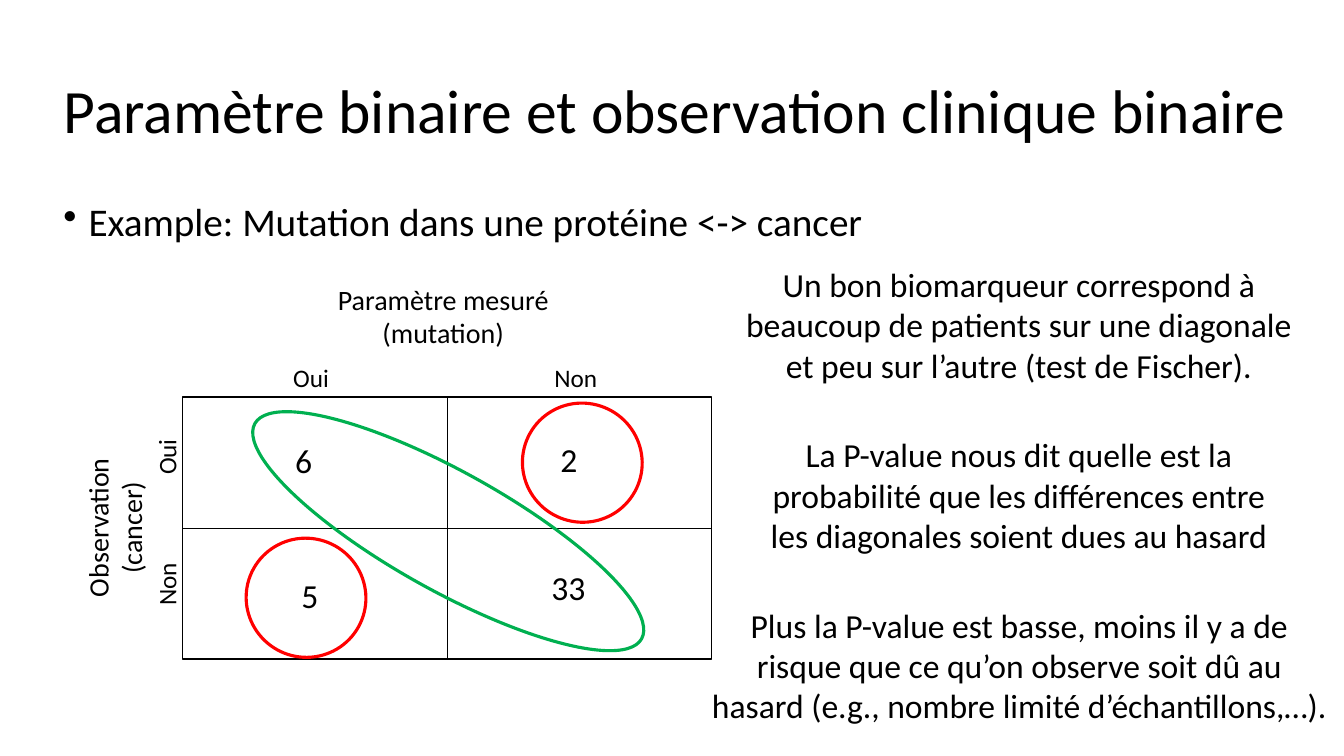
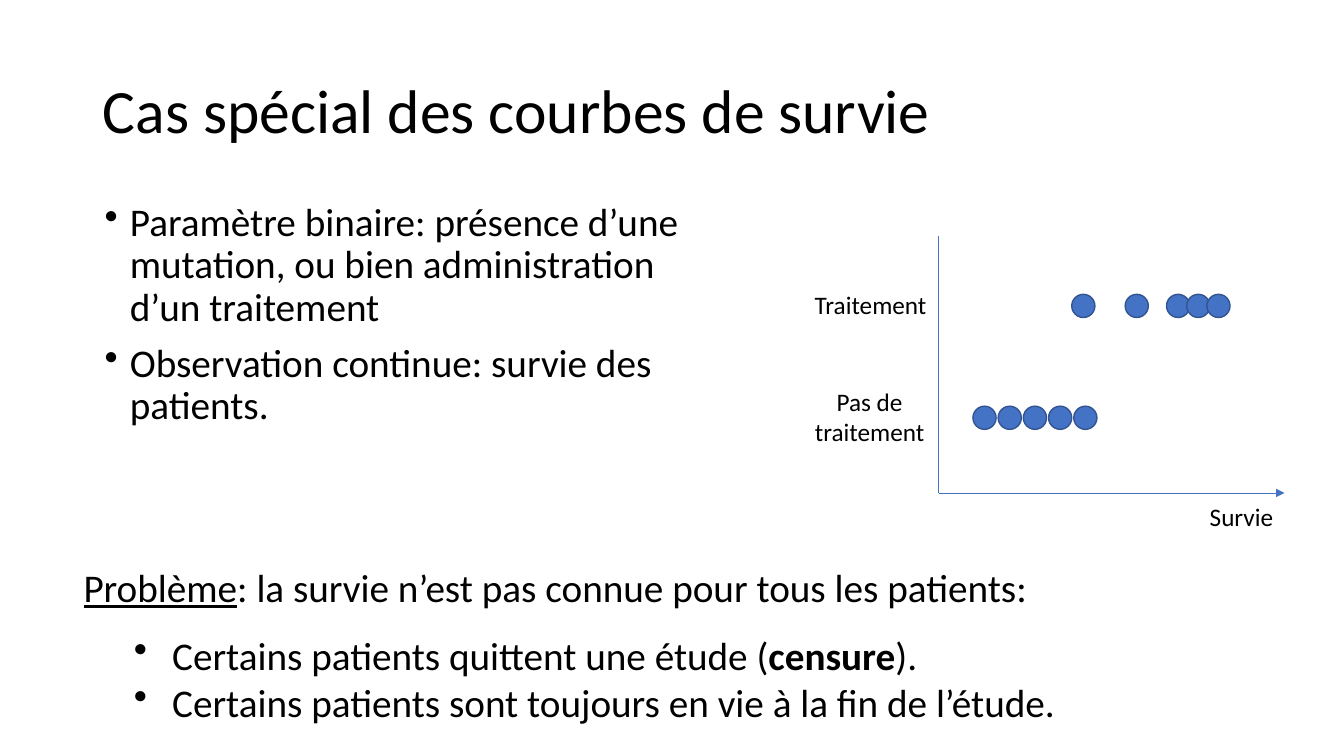
from dataclasses import dataclass

from lxml import etree
from pptx import Presentation
from pptx.dml.color import RGBColor
from pptx.enum.shapes import MSO_CONNECTOR, MSO_SHAPE
from pptx.enum.text import MSO_ANCHOR, MSO_AUTO_SIZE, PP_ALIGN
from pptx.oxml.ns import qn
from pptx.util import Inches, Pt

LEFT, CENTER = PP_ALIGN.LEFT, PP_ALIGN.CENTER
RECT, OVAL = MSO_SHAPE.RECTANGLE, MSO_SHAPE.OVAL
STRAIGHT = MSO_CONNECTOR.STRAIGHT
TOP_SIDE, LEFT_SIDE, BOTTOM_SIDE, RIGHT_SIDE = range(4)


@dataclass(frozen=True)
class Theme:
    font: str = "Calibri"
    black: RGBColor = RGBColor(0, 0, 0)
    blue: RGBColor = RGBColor(0x44, 0x72, 0xC4)
    dark_blue: RGBColor = RGBColor(0x32, 0x54, 0x91)
    green: RGBColor = RGBColor(0, 0xB0, 0x50)
    red: RGBColor = RGBColor(0xFF, 0, 0)
    title: int = 44
    body: int = 28
    note: int = 24
    axis: int = 20
    label: int = 18


T = Theme()


def add_text(s, box, paragraphs, size, align=LEFT, rotation=0, bullet=None):
    """Add a text box; a paragraph is a string or a list of (text, font attribute).

    bullet gives the indent and hanging of bulleted paragraphs, in inches.
    """
    sp = s.shapes.add_textbox(*map(Inches, box))
    sp.rotation = rotation
    tf = sp.text_frame
    tf.word_wrap = True
    for i, runs in enumerate(paragraphs):
        p = tf.add_paragraph() if i else tf.paragraphs[0]
        p.alignment = align
        p.font.name, p.font.size, p.font.color.rgb = T.font, Pt(size), T.black
        for text, attribute in [(runs, None)] if isinstance(runs, str) else runs:
            r = p.add_run()
            r.text = text
            if attribute:
                setattr(r.font, attribute, True)
        if bullet:
            indent, hanging = bullet
            pPr = p._p.get_or_add_pPr()
            pPr.set("marL", str(Inches(indent)))
            pPr.set("indent", str(-Inches(hanging)))
            pPr.insert_element_before(
                pPr.makeelement(qn("a:buChar"), {"char": "•"}),
                "a:tabLst", "a:defRPr", "a:extLst")
    return tf


def add_line(shapes, start, end, color):
    line = shapes.add_connector(STRAIGHT, *map(Inches, start + end))
    line.line.color.rgb, line.line.width = color, Pt(0.5)
    etree.SubElement(line._element.spPr, qn("a:effectLst"))
    return line


prs = Presentation()
prs.slide_width, prs.slide_height = Inches(13.33), Inches(7.5)
title_only = prs.slide_layouts[5]

titles = [
    ("Paramètre binaire et observation clinique binaire", 0.53, 12.52),
    ("Cas spécial des courbes de survie", 0.92, 11.5),
]
for text, left, width in titles:
    title = prs.slides.add_slide(title_only).shapes.title
    title.left, title.top = Inches(left), Inches(0.4)
    title.width, title.height = Inches(width), Inches(1.45)
    tf = title.text_frame
    tf.text = text
    tf.auto_size, tf.vertical_anchor = MSO_AUTO_SIZE.NONE, MSO_ANCHOR.MIDDLE
    p = tf.paragraphs[0]
    p.alignment, p.line_spacing = LEFT, 0.9
    p.font.name, p.font.size, p.font.color.rgb = T.font, Pt(T.title), T.black

binary_slide, survival_slide = prs.slides

bodies = [
    (binary_slide, (0.53, 1.96, 12.13, 0.8),
     ["Example: Mutation dans une protéine <-> cancer"]),
    (survival_slide, (0.94, 1.96, 6.07, 2.66),
     ["Paramètre binaire: présence d’une mutation, ou bien administration d’un traitement",
      "Observation continue: survie des patients."]),
]
for s, box, paragraphs in bodies:
    tf = add_text(s, box, paragraphs, T.body, bullet=(0.25, 0.25))
    for p in tf.paragraphs:
        p.line_spacing, p.space_before = 0.9, Pt(10)

# Slide 1: contingency grid
s = binary_slide
x, y, w, h = 1.81, 3.94, 5.25, 2.6
grid = s.shapes.add_shape(RECT, *map(Inches, (x, y, w, h)))
grid.shadow.inherit = False
grid.fill.background()
grid.line.color.rgb, grid.line.width = T.black, Pt(1)
dividers = [
    ((x + w / 2, y), (x + w / 2, y + h), TOP_SIDE, BOTTOM_SIDE),
    ((x, y + h / 2), (x + w, y + h / 2), LEFT_SIDE, RIGHT_SIDE),
]
for start, end, first_side, last_side in dividers:
    divider = add_line(s.shapes, start, end, T.black)
    divider.begin_connect(grid, first_side)
    divider.end_connect(grid, last_side)

add_text(s, (2.89, 2.75, 3.01, 0.77), ["Paramètre mesuré (mutation)"], T.axis, CENTER)
add_text(s, (0.19, 4.85, 1.89, 0.77), ["Observation (cancer)"], T.axis, CENTER, 270)

small_texts = [
    ("Oui", 1.3, 4.26, T.label, 270),
    ("Non", 1.3, 5.56, T.label, 270),
    ("Oui", 2.81, 3.55, T.label, 0),
    ("Non", 5.4, 3.55, T.label, 0),
    ("6", 2.83, 4.32, T.note, 0),
    ("2", 5.46, 4.31, T.note, 0),
    ("5", 2.89, 5.65, T.note, 0),
    ("33", 5.37, 5.58, T.note, 0),
]
for text, left, top, size, rotation in small_texts:
    height = 0.4 if size == T.label else 0.5
    add_text(s, (left, top, 0.7, height), [text], size, rotation=rotation)

rings = [
    (2.25, 4.68, 4.39, T.green),
    (2.44, 5.34, 1.19, T.red),
    (5.18, 4, 1.19, T.red),
]
for left, top, width, color in rings:
    ring = s.shapes.add_shape(OVAL, *map(Inches, (left, top, width, 1.18)))
    ring.rotation = 29.1
    ring.shadow.inherit = False
    ring.fill.background()
    ring.line.color.rgb, ring.line.width = color, Pt(2.25)

notes = [
    (7.23, 2.57, 5.75, "Un bon biomarqueur correspond à beaucoup de patients sur une "
                       "diagonale et peu sur l’autre (test de Fischer)."),
    (7.54, 4.26, 5.13, "La P-value nous dit quelle est la probabilité que les différences "
                       "entre les diagonales soient dues au hasard"),
    (6.94, 5.95, 6.34, "Plus la P-value est basse, moins il y a de risque que ce qu’on observe "
                       "soit dû au hasard (e.g., nombre limité d’échantillons,…)."),
]
for left, top, width, text in notes:
    add_text(s, (left, top, width, 1.31), [text], T.note, CENTER)

# Slide 2: censoring problem and survival plot
s = survival_slide
add_text(s, (0.73, 5.54, 11.35, 0.57),
         [[("Problème", "underline"),
           (": la survie n’est pas connue pour tous les patients:", None)]], T.body)
add_text(s, (0.73, 6.21, 11.35, 1.05),
         [[("Certains patients quittent une étude (", None), ("censure", "bold"), (").", None)],
          "Certains patients sont toujours en vie à la fin de l’étude."],
         T.body, bullet=(0.88, 0.38))

plot = s.shapes.add_group_shape().shapes
origin = (9.31, 4.89)
survival_axis = add_line(plot, origin, (12.74, 4.89), T.blue)
etree.SubElement(survival_axis.line._get_or_add_ln(), qn("a:tailEnd"), type="triangle")
add_line(plot, (9.31, 2.34), origin, T.blue)

dot_rows = [
    (2.92, [10.63, 11.16, 11.57, 11.77, 11.97]),
    (4.03, [9.65 + 0.25 * i for i in range(5)]),
]
for top, lefts in dot_rows:
    for left in lefts:
        dot = plot.add_shape(OVAL, *map(Inches, (left, top, 0.23, 0.23)))
        dot.shadow.inherit = False
        dot.fill.solid()
        dot.fill.fore_color.rgb = T.blue
        dot.line.color.rgb, dot.line.width = T.dark_blue, Pt(1)

add_text(s, (11.9, 4.92, 1.03, 0.4), ["Survie"], T.label)
add_text(s, (7.94, 3.78, 1.37, 0.71), ["Pas de traitement"], T.label, CENTER)
add_text(s, (7.95, 2.82, 1.37, 0.4), ["Traitement"], T.label, CENTER)

prs.save("out.pptx")
